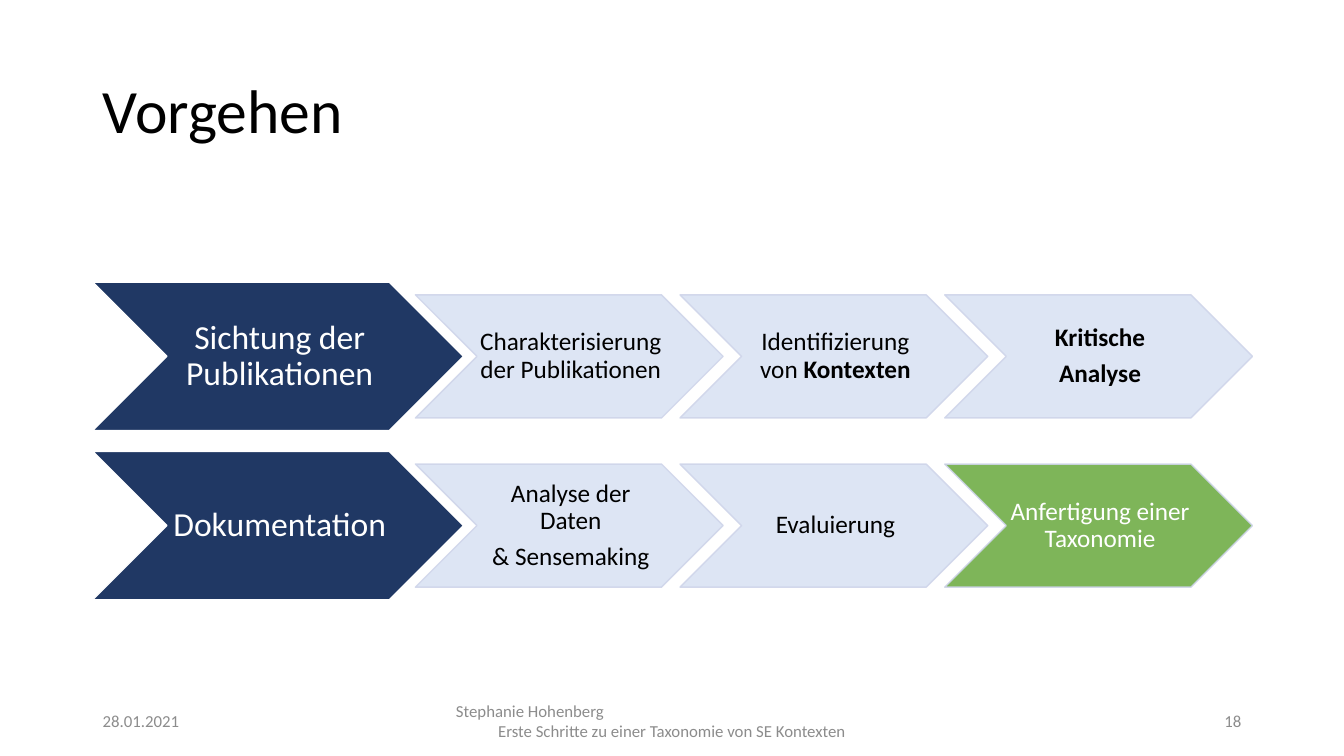
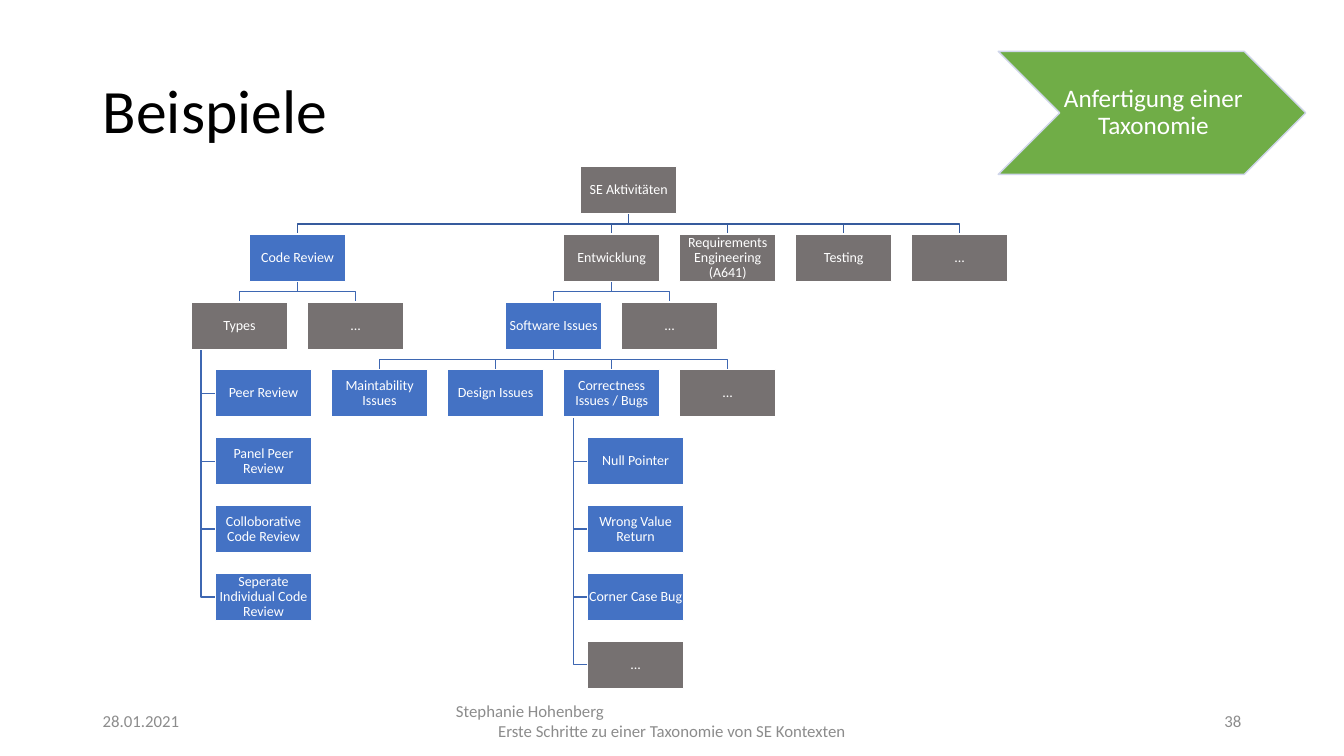
from collections import defaultdict, namedtuple

from lxml import etree
from pptx import Presentation
from pptx import util as u
from pptx.dml.color import RGBColor
from pptx.enum import shapes, text
from pptx.oxml.ns import qn

NAVY = RGBColor(0x20, 0x38, 0x64)
PALE = RGBColor(0xDA, 0xE3, 0xF3)
PALE_EDGE = RGBColor(0xCF, 0xD5, 0xEA)
GREEN = RGBColor(0x70, 0xAD, 0x47)
BLUE = RGBColor(0x44, 0x72, 0xC4)
GRAY = RGBColor(0x76, 0x71, 0x71)
ROOT_LINE = RGBColor(0x36, 0x5B, 0x9D)
BRANCH_LINE = RGBColor(0x3E, 0x67, 0xB2)
MUTED = RGBColor(0x8C, 0x8C, 0x8C)
WHITE = RGBColor(0xFF, 0xFF, 0xFF)
BLACK = RGBColor(0, 0, 0)

FONT = "Calibri"
WIDTH, HEIGHT = 13.33, 7.5
MARGIN = 0.92
CONTENT = WIDTH - 2 * MARGIN
LEFT, CENTER, RIGHT = text.PP_ALIGN.LEFT, text.PP_ALIGN.CENTER, text.PP_ALIGN.RIGHT

Box = namedtuple("Box", "left top width height")
Node = namedtuple("Node", "label color children hanging", defaults=((), False))

RESULT = [[("Anfertigung einer Taxonomie", False)]]
PROCESS = [
    ("Sichtung der Publikationen", [
        ([[("Charakterisierung der Publikationen", False)]], PALE, BLACK),
        ([[("Identifizierung von ", False), ("Kontexten", True)]], PALE, BLACK),
        ([[("Kritische", True)], [("Analyse", True)]], PALE, BLACK),
    ]),
    ("Dokumentation", [
        ([[("Analyse der Daten", False)], [("& Sensemaking", False)]], PALE, BLACK),
        ([[("Evaluierung", False)]], PALE, BLACK),
        (RESULT, GREEN, WHITE),
    ]),
]

MORE = Node("...", GRAY)
REVIEW_TYPES = [Node(label, BLUE) for label in (
    "Peer Review", "Panel Peer Review", "Colloborative Code Review",
    "Seperate Individual Code Review")]
BUGS = [Node(label, BLUE) for label in (
    "Null Pointer", "Wrong Value Return", "Corner Case Bug")] + [MORE]
ISSUES = [
    Node("Maintability Issues", BLUE),
    Node("Design Issues", BLUE),
    Node("Correctness Issues / Bugs", BLUE, BUGS, True),
    MORE,
]
ACTIVITIES = Node("SE Aktivitäten", GRAY, [
    Node("Code Review", BLUE, [Node("Types", GRAY, REVIEW_TYPES, True), MORE]),
    Node("Entwicklung", GRAY, [Node("Software Issues", BLUE, ISSUES), MORE]),
    Node("Requirements Engineering (A641)", GRAY),
    Node("Testing", GRAY),
    MORE,
])


def apply(target, values):
    for name, value in values.items():
        setattr(target, name, value)


def emu(box):
    return [u.Inches(value) for value in box]


def write(frame, paragraphs, size, color, align=CENTER, spacing=0.9, insets=None):
    apply(frame, {"word_wrap": True, "vertical_anchor": text.MSO_ANCHOR.MIDDLE})
    if insets:
        sides = ("margin_left", "margin_top", "margin_right", "margin_bottom")
        apply(frame, {side: u.Inches(inset) for side, inset in zip(sides, insets)})
    for index, runs in enumerate(paragraphs):
        paragraph = frame.paragraphs[0] if index == 0 else frame.add_paragraph()
        apply(paragraph, {"alignment": align, "line_spacing": spacing})
        if index < len(paragraphs) - 1:
            paragraph.space_after = u.Pt(0.35 * size)
        for content, bold in runs:
            run = paragraph.add_run()
            run.text = content
            apply(run.font, {"name": FONT, "size": u.Pt(size), "bold": bold})
            run.font.color.rgb = color


def set_opacity(color_format, share):
    for color in color_format.iter(qn("a:srgbClr")):
        etree.SubElement(color, qn("a:alpha")).set("val", str(int(share * 100000)))


def add_block(slide, kind, box, fill, line):
    shape = slide.shapes.add_shape(kind, *emu(box))
    shape.shadow.inherit = False
    shape.fill.solid()
    shape.fill.fore_color.rgb = fill
    shape.line.color.rgb = line
    shape.line.width = u.Pt(1)
    return shape


def add_chevron(slide, box, paragraphs, size, fill, line, color, opacity=1):
    shape = add_block(slide, shapes.MSO_SHAPE.CHEVRON, box, fill, line)
    if opacity < 1:
        set_opacity(shape.element.spPr, opacity)
    write(shape.text_frame, paragraphs, size, color, insets=(0.03, 0.01, 0, 0.01))


def add_process(slide, box):
    lead_height = box.height * 0.467
    lead_width = lead_height * 2.5
    step_height = lead_height * 0.83
    step_width = step_height * 2.5
    for row, (heading, steps) in enumerate(PROCESS):
        top = box.top + row * (box.height - lead_height)
        lead = Box(box.left, top, lead_width, lead_height)
        add_chevron(slide, lead, [[(heading, False)]], 24, NAVY, WHITE, WHITE)
        for column, (paragraphs, fill, color) in enumerate(steps):
            step = Box(box.left + lead_width * 0.87 + column * step_width * 0.86,
                       top + (lead_height - step_height) / 2,
                       step_width, step_height)
            add_chevron(slide, step, paragraphs, 18, fill, PALE_EDGE, color, 0.9)


def add_elbow(slide, points, color):
    start, *rest = [(u.Inches(x), u.Inches(y)) for x, y in points]
    builder = slide.shapes.build_freeform(*start)
    builder.add_line_segments(rest, close=False)
    shape = builder.convert_to_shape()
    shape.shadow.inherit = False
    shape.fill.background()
    shape.line.color.rgb = color
    shape.line.width = u.Pt(1)


def add_tree(slide, root, box, levels=8):
    row_pitch = box.height / (levels - 0.3)
    node_height = row_pitch * 0.7
    node_width = node_height * 2.02
    column_pitch = node_width * 1.21
    indent = node_width / 4
    next_left = defaultdict(lambda: box.left)
    blocks, elbows = [], []

    def place(node, depth, left=None):
        if node.hanging:
            left = next_left[depth]
            children = [place(child, depth + 1 + index, left + indent)
                        for index, child in enumerate(node.children)]
        else:
            children = [place(child, depth + 1) for child in node.children]
            if children:
                left = (children[0].left + children[-1].left) / 2
            elif left is None:
                left = next_left[depth]
        next_left[depth] = left + column_pitch
        block = Box(left, box.top + depth * row_pitch, node_width, node_height)
        bottom = block.top + node_height
        color = BRANCH_LINE if depth else ROOT_LINE
        for child in children:
            if node.hanging:
                spine = left + node_width / 10
                middle = child.top + node_height / 2
                points = [(spine, bottom), (spine, middle), (child.left, middle)]
            else:
                start, end = left + node_width / 2, child.left + node_width / 2
                bend = bottom + (row_pitch - node_height) / 2
                points = [(start, bottom), (start, bend), (end, bend), (end, child.top)]
            elbows.append((points, color))
        blocks.append((block, node))
        return block

    place(root, 0)
    for points, color in elbows:
        add_elbow(slide, points, color)
    for block, node in blocks:
        shape = add_block(slide, shapes.MSO_SHAPE.RECTANGLE, block, node.color, WHITE)
        write(shape.text_frame, [[(node.label, False)]], 10, WHITE, insets=(0.01,) * 4)


def add_footer(slide, box, number):
    side = box.width * 0.26
    middle = box.width * 0.39
    cells = [
        (box.left, side, LEFT, ["28.01.2021"]),
        (box.left + (box.width - middle) / 2, middle, CENTER,
         ["Stephanie Hohenberg", "Erste Schritte zu einer Taxonomie von SE Kontexten"]),
        (box.left + box.width - side, side, RIGHT, [str(number)]),
    ]
    for left, width, align, lines in cells:
        shape = slide.shapes.add_textbox(*emu(Box(left, box.top, width, box.height)))
        write(shape.text_frame, [[(line, False)] for line in lines], 12, MUTED, align, 1.0)
        paragraphs = shape.text_frame.paragraphs
        if len(paragraphs) > 1:
            apply(paragraphs[0], {"alignment": LEFT, "space_after": u.Pt(0)})


def add_slide(presentation, title, number):
    slide = presentation.slides.add_slide(presentation.slide_layouts[5])
    box = Box(MARGIN, 0.4, CONTENT, 1.45)
    apply(slide.shapes.title, dict(zip(("left", "top", "width", "height"), emu(box))))
    write(slide.shapes.title.text_frame, [[(title, False)]], 44, BLACK, LEFT)
    add_footer(slide, Box(MARGIN, 6.95, CONTENT, 0.4), number)
    return slide


def main():
    presentation = Presentation()
    apply(presentation, {"slide_width": u.Inches(WIDTH), "slide_height": u.Inches(HEIGHT)})

    process = add_slide(presentation, "Vorgehen", 18)
    add_process(process, Box(MARGIN, 2.8, CONTENT, 3.15))

    examples = add_slide(presentation, "Beispiele", 38)
    add_chevron(examples, Box(9.9, 0.51, 3.05, 1.22), RESULT, 18, GREEN, PALE_EDGE, WHITE)
    add_tree(examples, ACTIVITIES, Box(1.9, 1.65, 8.06, 5.18))

    presentation.save("out.pptx")


if __name__ == "__main__":
    main()
